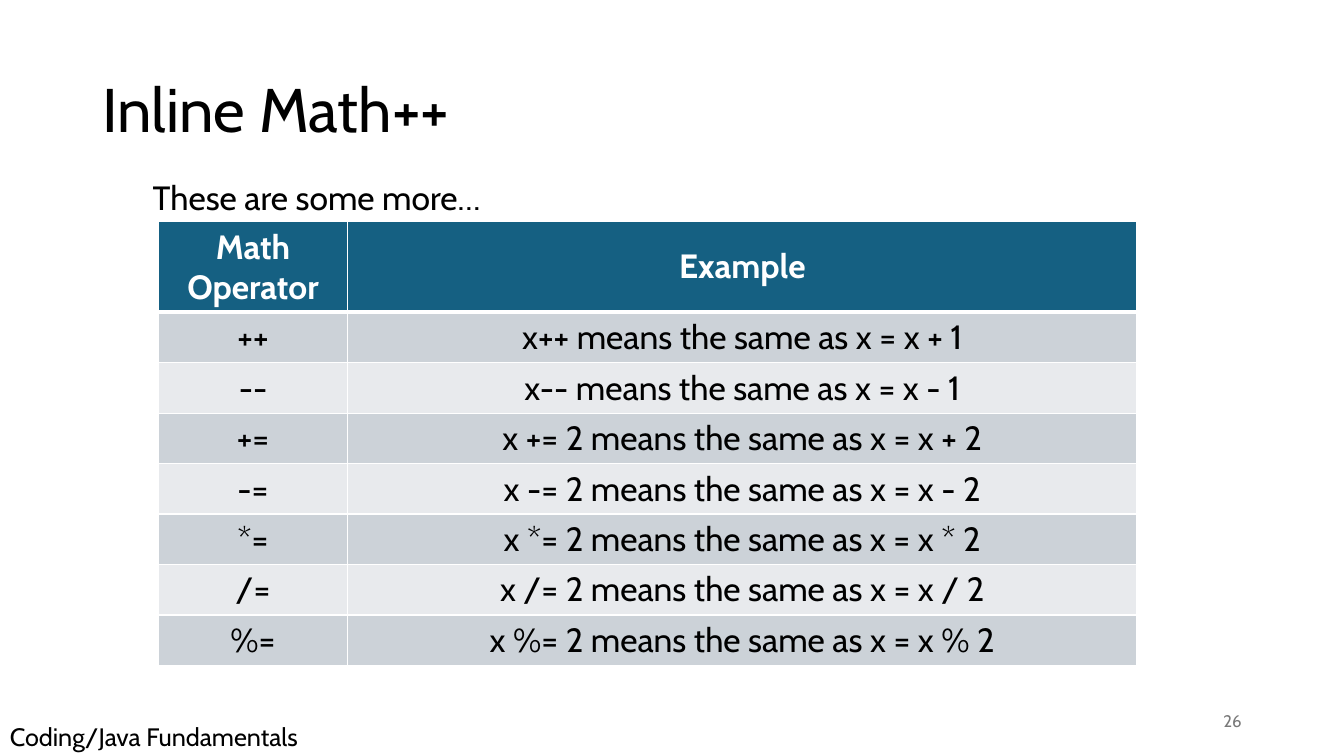
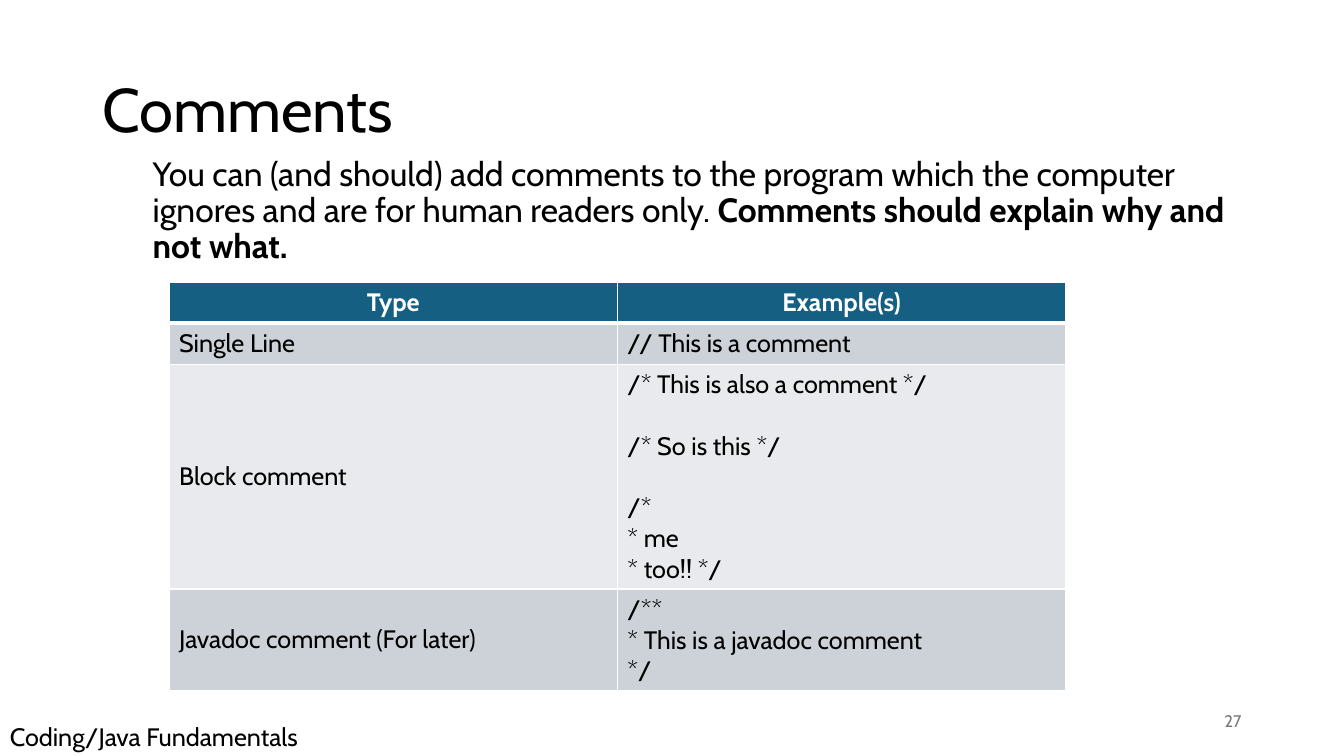
from dataclasses import dataclass

from lxml import etree
from pptx import Presentation
from pptx.dml.color import RGBColor
from pptx.enum.text import MSO_ANCHOR, PP_ALIGN
from pptx.oxml.ns import qn
from pptx.util import Emu, Pt

LEFT, CENTER, RIGHT = PP_ALIGN.LEFT, PP_ALIGN.CENTER, PP_ALIGN.RIGHT
TOP, MIDDLE = MSO_ANCHOR.TOP, MSO_ANCHOR.MIDDLE
BLANK_LAYOUT = 6


@dataclass(frozen=True)
class Theme:
    font: str = "Cabin"
    text: str = "000000"
    muted: str = "797979"
    white: str = "FFFFFF"
    header: str = "156082"
    bands: tuple = ("CCD2D8", "E8EAED")
    title_size: int = 44
    body_size: int = 24
    small_size: int = 18
    number_size: int = 12
    line_spacing: float = 0.9
    code_gap: int = 22
    thin: int = 1
    thick: int = 3


THEME = Theme()

OPERATORS = [
    ("Math Operator", "Example"),
    ("++", "x++ means the same as x = x + 1"),
    ("--", "x-- means the same as x = x - 1"),
] + [(f"{sign}=", f"x {sign}= 2 means the same as x = x {sign} 2") for sign in "+-*/%"]

COMMENT_TYPES = [
    ("Type", "Example(s)"),
    ("Single Line", "// This is a comment"),
    ("Block comment",
     "/* This is also a comment */\n\n/* So is this */\n\n/*\n* me\n* too!! */"),
    ("Javadoc comment (For later)", "/**\n* This is a javadoc comment\n*/"),
]


def px(length):
    return Emu(length * 9525)


def style_run(run, size, color, bold=False):
    font = run.font
    font.name, font.size, font.bold = THEME.font, Pt(size), bold
    font.color.rgb = RGBColor.from_string(color)


def add_text(slide, box, text, size, color=THEME.text, align=LEFT, anchor=TOP,
             spacing=None, emphasis=None):
    """Place one paragraph; emphasis is an optional bold ending."""
    frame = slide.shapes.add_textbox(*map(px, box)).text_frame
    frame.word_wrap = True
    frame.vertical_anchor = anchor
    frame.text = text
    paragraph = frame.paragraphs[0]
    paragraph.alignment = align
    paragraph.line_spacing = spacing
    style_run(paragraph.runs[0], size, color)
    if emphasis:
        ending = paragraph.add_run()
        ending.text = emphasis
        style_run(ending, size, color, bold=True)


def set_borders(cell, top, bottom):
    properties = cell._tc.get_or_add_tcPr()
    sides = (("L", THEME.thin), ("R", THEME.thin), ("T", top), ("B", bottom))
    for side, width in sides:
        line = etree.SubElement(properties, qn(f"a:ln{side}"), w=str(Pt(width)))
        fill = etree.SubElement(line, qn("a:solidFill"))
        etree.SubElement(fill, qn("a:srgbClr"), val=THEME.white)


def fill_cell(cell, text, row, size, align):
    """Write a cell; a blank line in the text becomes paragraph spacing."""
    is_header = row == 0
    set_borders(cell, THEME.thick if row == 1 else THEME.thin,
                THEME.thick if is_header else THEME.thin)
    cell.fill.solid()
    background = THEME.header if is_header else THEME.bands[(row - 1) % 2]
    cell.fill.fore_color.rgb = RGBColor.from_string(background)
    cell.vertical_anchor = MIDDLE

    blocks = text.split("\n\n")
    cell.text_frame.text = "\n".join(blocks)
    paragraphs = iter(cell.text_frame.paragraphs)
    for block_index, block in enumerate(blocks):
        for line_index in range(len(block.split("\n"))):
            paragraph = next(paragraphs)
            paragraph.alignment = CENTER if is_header else align
            if block_index and line_index == 0:
                paragraph.space_before = Pt(THEME.code_gap)
            style_run(paragraph.runs[0], size,
                      THEME.white if is_header else THEME.text, is_header)


def add_grid(slide, left, top, widths, heights, rows, size, align):
    table = slide.shapes.add_table(
        len(rows), len(widths), px(left), px(top),
        px(sum(widths)), px(sum(heights))).table
    table.horz_banding = False
    for column, width in zip(table.columns, widths):
        column.width = px(width)
    for row, height in zip(table.rows, heights):
        row.height = px(height)
    for row, texts in enumerate(rows):
        for column, text in enumerate(texts):
            fill_cell(table.cell(row, column), text, row, size, align)


def add_lesson(prs, number, title, intro, intro_top, emphasis=None):
    """Start a slide with its title, number, footer and introduction."""
    slide = prs.slides.add_slide(prs.slide_layouts[BLANK_LAYOUT])
    add_text(slide, (88, 38, 1104, 139), title, THEME.title_size,
             anchor=MIDDLE, spacing=THEME.line_spacing)
    add_text(slide, (904, 667, 288, 38), str(number), THEME.number_size,
             THEME.muted, RIGHT, MIDDLE)
    add_text(slide, (0, 682, 301, 38), "Coding/Java Fundamentals", THEME.small_size)
    add_text(slide, (136, intro_top, 1056, 457), intro, THEME.body_size,
             spacing=THEME.line_spacing, emphasis=emphasis)
    return slide


def main():
    prs = Presentation()
    prs.slide_width, prs.slide_height = px(1280), px(720)

    # Shorthand operators
    math = add_lesson(prs, 26, "Inline Math++", "These are some more…", 168)
    add_grid(math, 151, 211, (180, 752), [86] + [48] * 7, OPERATORS,
             THEME.body_size, CENTER)

    # Kinds of comment
    comments = add_lesson(
        prs, 27, "Comments",
        "You can (and should) add comments to the program which the computer "
        "ignores and are for human readers only. ", 145,
        emphasis="Comments should explain why and not what.")
    add_grid(comments, 161, 269, (427, 427), (39, 39, 214, 97), COMMENT_TYPES,
             THEME.small_size, LEFT)

    prs.save("out.pptx")


if __name__ == "__main__":
    main()
